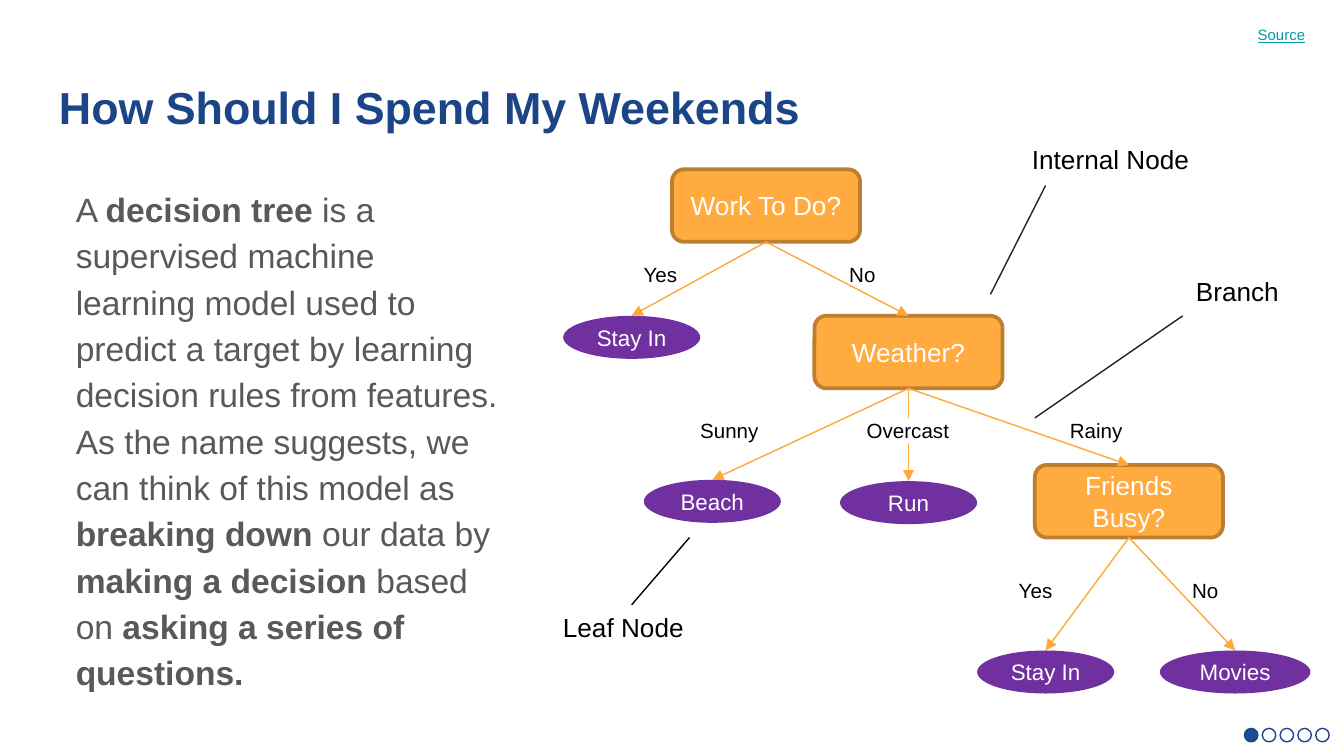
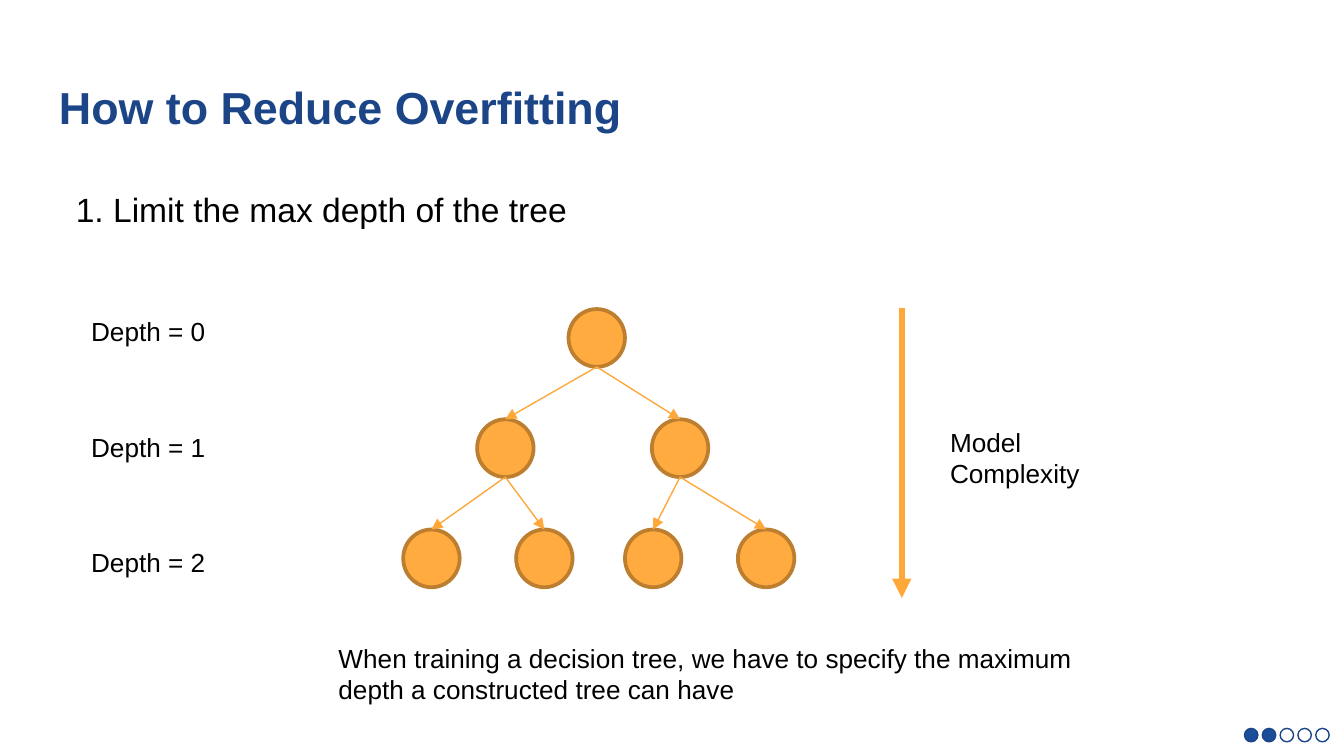
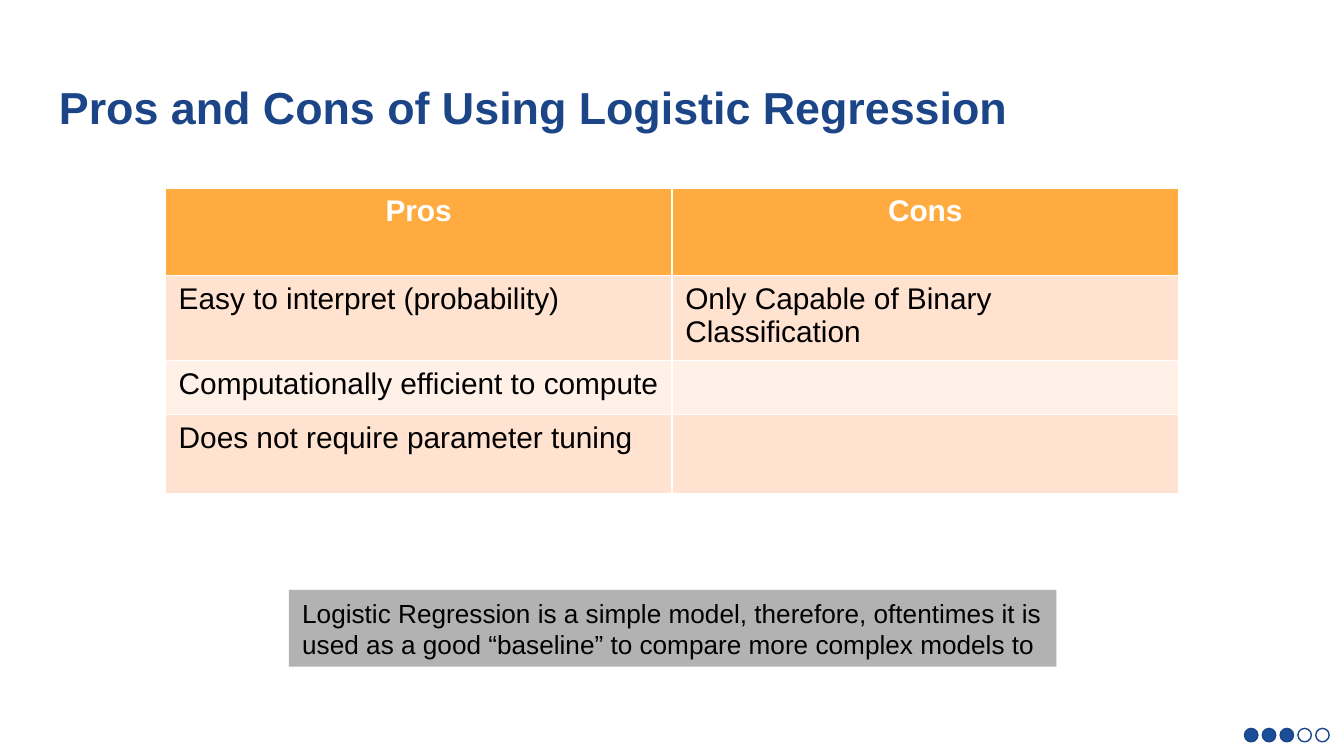
from lxml import etree
from pptx import Presentation
from pptx.dml.color import RGBColor
from pptx.enum import shapes, text
from pptx.oxml import ns
from pptx.util import Inches, Pt

FONT = "Arial"
NAVY, BLUE, TITLE_BLUE = "1A4587", "1C4D99", "1C4587"
ORANGE, BROWN, ARROW = "FFAB40", "BD7F2F", "FEA83A"
PURPLE, TEAL, GRAY, CHARCOAL = "7030A0", "0097A7", "595959", "212121"
BLACK, WHITE, SILVER = "000000", "FFFFFF", "B2B2B2"
PEACH, PALE_PEACH = "FFE2CF", "FFF1E8"
DOT_COUNT = 5
LABEL_INSETS = (0.1, 0.05)
NO_INSETS = (0, 0)
OVAL = shapes.MSO_SHAPE.OVAL
RECTANGLE = shapes.MSO_SHAPE.RECTANGLE
ROUNDED = shapes.MSO_SHAPE.ROUNDED_RECTANGLE
CENTER = text.PP_ALIGN.CENTER
MIDDLE = text.MSO_ANCHOR.MIDDLE


def color(value):
    return RGBColor.from_string(value)


def inches(*values):
    return [Inches(value) for value in values]


def apply(target, values):
    for name, value in values.items():
        setattr(target, name, value)


def write(frame, runs, size, tint=BLACK, align=None, insets=LABEL_INSETS, bold=False, **options):
    horizontal, vertical = inches(*insets)
    apply(frame, {
        "word_wrap": True,
        "margin_left": horizontal,
        "margin_right": horizontal,
        "margin_top": vertical,
        "margin_bottom": vertical,
        **options,
    })
    paragraph = frame.paragraphs[0]
    if align is not None:
        paragraph.alignment = align
    for words, strong in [(runs, bold)] if isinstance(runs, str) else runs:
        run = paragraph.add_run()
        run.text = words
        apply(run.font, {"name": FONT, "size": Pt(size), "bold": strong})
        run.font.color.rgb = color(tint)
    return paragraph


def add_text(slide, box, runs, size, **options):
    shape = slide.shapes.add_textbox(*inches(*box))
    return write(shape.text_frame, runs, size, **options)


def add_label(slide, box, words, size, **options):
    return add_text(slide, box, words, size, auto_size=text.MSO_AUTO_SIZE.SHAPE_TO_FIT_TEXT, **options)


def add_filled(slide, kind, box, fill=None, line=None, line_width=0.75):
    shape = slide.shapes.add_shape(kind, *inches(*box))
    shape.shadow.inherit = False
    if fill:
        shape.fill.solid()
        shape.fill.fore_color.rgb = color(fill)
    else:
        shape.fill.background()
    if line:
        shape.line.color.rgb = color(line)
        shape.line.width = Pt(line_width)
    else:
        shape.line.fill.background()
    return shape


def add_line(slide, start, end, tint=ARROW, width=0.75, arrow=True):
    connector = slide.shapes.add_connector(shapes.MSO_CONNECTOR.STRAIGHT, *start, *end)
    connector.line.color.rgb = color(tint)
    connector.line.width = Pt(width)
    if arrow:
        outline = connector.line._get_or_add_ln()
        etree.SubElement(outline, ns.qn("a:tailEnd"), type="triangle")
    etree.SubElement(connector._element.spPr, ns.qn("a:effectLst"))


def add_branch(slide, parent, child):
    start = (parent.left + parent.width // 2, parent.top + parent.height)
    add_line(slide, start, (child.left + child.width // 2, child.top))


def add_body(slide, box, runs, tint):
    paragraph = add_text(slide, box, runs, 18, tint=tint, insets=(0.1, 0.1))
    paragraph.line_spacing = 1.15
    paragraph._p.get_or_add_pPr().set("marL", str(Pt(9)))


def add_progress(slide, done, left=9.26, top=5.42, span=0.53):
    for index in range(DOT_COUNT):
        box = (left + span * index / (DOT_COUNT - 1), top, 0.1, 0.1)
        add_filled(slide, OVAL, box, BLUE if index < done else None, NAVY)


def new_slide(presentation, title):
    slide = presentation.slides.add_slide(presentation.slide_layouts[6])
    add_text(slide, (0.34, 0.49, 9.32, 0.63), title, 24, tint=TITLE_BLUE, bold=True,
             insets=(0.1, 0.1))
    add_progress(slide, len(presentation.slides))
    return slide


def add_question(slide, left, top, words):
    shape = add_filled(slide, ROUNDED, (left, top, 1.4, 0.54), ORANGE, BROWN, 2)
    write(shape.text_frame, words, 14, WHITE, CENTER, vertical_anchor=MIDDLE)
    return shape


def add_answer(slide, left, top, words, width=1.02):
    shape = add_filled(slide, OVAL, (left, top, width, 0.32), PURPLE)
    write(shape.text_frame, words, 12, WHITE, CENTER, vertical_anchor=MIDDLE)
    return shape


def add_weekend_tree(slide, left, top):
    work = add_question(slide, left + 0.81, top, "Work To Do?")
    weather = add_question(slide, left + 1.87, top + 1.09, "Weather?")
    friends = add_question(slide, left + 3.51, top + 2.2, "Friends Busy?")
    stay_in = add_answer(slide, left, top + 1.09, "Stay In")
    beach = add_answer(slide, left + 0.6, top + 2.31, "Beach")
    run = add_answer(slide, left + 2.06, top + 2.32, "Run")
    still_in = add_answer(slide, left + 3.08, top + 3.58, "Stay In")
    movies = add_answer(slide, left + 4.44, top + 3.58, "Movies", 1.12)
    for parent, children in [
        (work, (stay_in, weather)),
        (weather, (beach, run, friends)),
        (friends, (still_in, movies)),
    ]:
        for child in children:
            add_branch(slide, parent, child)
    for x, words in [(0.5, "Yes"), (2.03, "No")]:
        add_label(slide, (left + x, top + 0.64, 0.51, 0.29), words, 11)
    for x, y, words in [(1.02, 1.85, "Sunny"), (3.77, 1.85, "Rainy"),
                        (3.39, 3.04, "Yes"), (4.68, 3.04, "No")]:
        add_label(slide, (left + x, top + y, 0.78, 0.19), words, 11, insets=NO_INSETS)
    overcast = add_filled(slide, RECTANGLE, (left + 2.14, top + 1.85, 0.85, 0.19), WHITE)
    write(overcast.text_frame, "Overcast", 11, align=CENTER, insets=NO_INSETS)


def add_callouts(slide, left, top):
    for x, y, width, words, start, end, tint in [
        (3.49, 0, 1.44, "Internal Node", (3.69, 0.36), (3.28, 1.17), CHARCOAL),
        (0, 3.48, 1.23, "Leaf Node", (0.61, 3.48), (1.04, 2.98), BLACK),
        (4.71, 0.98, 1.23, "Branch", (3.61, 2.09), (4.71, 1.33), CHARCOAL),
    ]:
        add_label(slide, (left + x, top + y, width, 0.34), words, 14)
        ends = [inches(left + dx, top + dy) for dx, dy in (start, end)]
        add_line(slide, *ends, tint=tint, arrow=False)


def build_decision_slide(presentation):
    slide = new_slide(presentation, "How Should I Spend My Weekends")
    add_body(slide, (0.34, 1.26, 3.49, 3.9), [
        ("A ", False),
        ("decision tree", True),
        (" is a supervised machine learning model used to predict a target by learning "
         "decision rules from features. As the name suggests, we can think of this model as ", False),
        ("breaking down ", True),
        ("our data by ", False),
        ("making a decision", True),
        (" based on ", False),
        ("asking a series of questions.", True),
    ], GRAY)
    add_weekend_tree(slide, 4.19, 1.26)
    add_callouts(slide, 4.09, 1.02)
    source = add_label(slide, (9.26, 0.14, 0.76, 0.24), "Source", 8, tint=TEAL)
    source.runs[0].font.underline = True


def add_depth_tree(slide, left, top):
    levels = [(1.23,), (0.55, 1.85), (0, 0.84, 1.65, 2.49)]
    parents = []
    for depth, offsets in enumerate(levels):
        nodes = [
            add_filled(slide, OVAL, (left + x, top + 0.82 * depth, 0.42, 0.43), ORANGE, BROWN, 2)
            for x in offsets
        ]
        if parents:
            for index, node in enumerate(nodes):
                add_branch(slide, parents[index // 2], node)
        parents = nodes


def build_overfitting_slide(presentation):
    slide = new_slide(presentation, "How to Reduce Overfitting")
    add_body(slide, (0.34, 1.26, 9.32, 3.74), "1. Limit the max depth of the tree", BLACK)
    add_depth_tree(slide, 3, 2.3)
    for depth in range(3):
        add_label(slide, (0.58, 2.3 + 0.86 * depth, 1.46, 0.34), f"Depth = {depth}", 14)
    add_line(slide, inches(6.71, 2.29), inches(6.71, 4.45), width=3.5)
    add_label(slide, (6.97, 3.12, 1.41, 0.57), "Model Complexity", 14)
    add_label(slide, (2.42, 4.73, 5.7, 0.57),
              "When training a decision tree, we have to specify the maximum depth "
              "a constructed tree can have", 14)


def add_pros_and_cons(slide, box):
    rows = [
        ("Pros", "Cons"),
        ("Easy to interpret (probability)", "Only Capable of Binary Classification"),
        ("Computationally efficient to compute", ""),
        ("Does not require parameter tuning", ""),
    ]
    heights = (0.65, 0.59, 0.38, 0.59)
    fills = (ORANGE, PEACH, PALE_PEACH, PEACH)
    table = slide.shapes.add_table(len(rows), 2, *inches(*box)).table
    for index, (words, height, fill) in enumerate(zip(rows, heights, fills)):
        table.rows[index].height = Inches(height)
        header = index == 0
        for column, content in enumerate(words):
            cell = table.cell(index, column)
            cell.fill.solid()
            cell.fill.fore_color.rgb = color(fill)
            if content:
                write(cell.text_frame, content, 16, WHITE if header else BLACK,
                      CENTER if header else None, bold=header)


def build_logistic_slide(presentation):
    slide = new_slide(presentation, "Pros and Cons of Using Logistic Regression")
    add_pros_and_cons(slide, (1.23, 1.4, 7.54, 2.21))
    note = add_filled(slide, RECTANGLE, (2.15, 4.39, 5.71, 0.57), SILVER)
    write(note.text_frame,
          "Logistic Regression is a simple model, therefore, oftentimes it is used as a good "
          "“baseline” to compare more complex models to", 14, align=text.PP_ALIGN.LEFT)


def main():
    presentation = Presentation()
    width = Inches(10)
    apply(presentation, {"slide_width": width, "slide_height": width * 9 // 16})
    build_decision_slide(presentation)
    build_overfitting_slide(presentation)
    build_logistic_slide(presentation)
    presentation.save("out.pptx")


if __name__ == "__main__":
    main()
